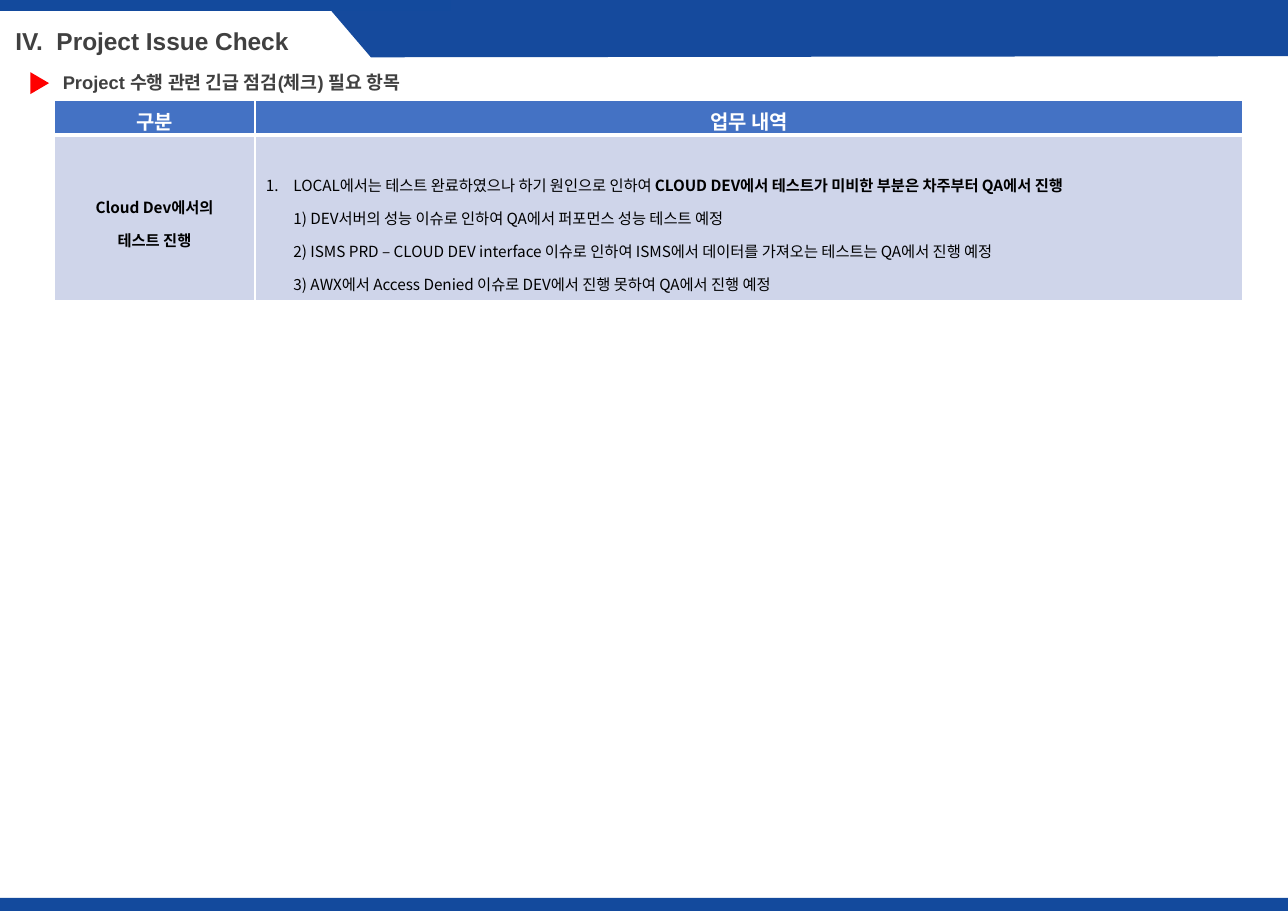
import pptx
import pptx.util
import pptx.dml.color
import pptx.enum.shapes
import pptx.enum.text
import pptx.oxml
import pptx.oxml.ns

Inches = pptx.util.Inches
Shape = pptx.enum.shapes.MSO_SHAPE
Anchor = pptx.enum.text.MSO_ANCHOR
Align = pptx.enum.text.PP_ALIGN
WIDE, HIGH = 11.69, 8.27
BLUE, GRAY, WHITE, BLACK = "134A9D", "404040", "FFFFFF", "000000"
NOTO = "Noto Sans CJK KR"


def paint(fill, color):
    fill.solid()
    fill.fore_color.rgb = pptx.dml.color.RGBColor.from_string(color)


def node(parent, tag, **attrs):
    item = parent.makeelement(pptx.oxml.ns.qn(tag), attrs)
    parent.append(item)
    return item


def write(para, text, size, color, bold=True, face=NOTO):
    run = para.add_run()
    run.text = text
    font = run.font
    font.size, font.bold, font.name = pptx.util.Pt(size), bold, face
    paint(font.fill, color)
    node(run._r.get_or_add_rPr(), "a:ea", typeface=NOTO)


def finish(shape, color):
    paint(shape.fill, color)
    shape.line.fill.background()
    shape.shadow.inherit = False


def block(slide, kind, box, color, turn=0):
    shape = slide.shapes.add_shape(kind, *map(Inches, box))
    shape.rotation = turn
    finish(shape, color)


def label(shape, box, text, size):
    shape.left, shape.top, shape.width, shape.height = map(Inches, box)
    frame = shape.text_frame
    frame.word_wrap = True
    frame.auto_size = pptx.enum.text.MSO_AUTO_SIZE.NONE
    frame.vertical_anchor = Anchor.MIDDLE
    frame.margin_left = frame.margin_right = Inches(0.11)
    frame.margin_top = frame.margin_bottom = Inches(0.06)
    para = frame.paragraphs[0]
    para.alignment = Align.LEFT
    write(para, text, size, GRAY, face="Arial")


def banner(slide, box):
    left, top, width, height = box
    right, base = left + width, top + height
    edge = [(left + width * 0.25, top), (right, top), (right, base - 0.01),
            (left + width * 0.288, base)]
    spots = [(Inches(x), Inches(y)) for x, y in edge]
    form = slide.shapes.build_freeform(*spots[0])
    form.add_line_segments(spots[1:], close=True)
    finish(form.convert_to_shape(), "154A9D")
    block(slide, Shape.RECTANGLE, (left, top, width * 0.35, 0.1), BLUE)
    label(slide.shapes.title, (left + 0.03, top + 0.18, 3.15, 0.38),
          "IV.  Project Issue Check", 16)


def heading(slide, box):
    left, top, width, height = box
    block(slide, Shape.ISOSCELES_TRIANGLE, (left, top + 0.08, 0.2, 0.17), "FF0000", 90)
    text = slide.shapes.add_textbox(0, 0, 0, 0)
    label(text, (left + 0.2, top, width - 0.2, height),
          "Project 수행 관련 긴급 점검(체크) 필요 항목", 12)


def style(cell, color, base=1):
    props = cell._tc.get_or_add_tcPr()
    for side, width in zip("LRTB", (1, 1, 1, base)):
        line = node(props, "a:ln" + side, w=str(pptx.util.Pt(width)))
        node(node(line, "a:solidFill"), "a:srgbClr", val=WHITE)
    paint(cell.fill, color)
    cell.vertical_anchor = Anchor.MIDDLE


def fill_cell(cell, lines, align):
    for place, runs in enumerate(lines):
        frame = cell.text_frame
        para = frame.add_paragraph() if place else frame.paragraphs[0]
        para.alignment, para.line_spacing = align, 1.5
        for text, bold in runs:
            write(para, text, 10, BLACK, bold)


def issues(slide, box):
    left, top, width, height = box
    grid = slide.shapes.add_table(2, 2, *map(Inches, box)).table
    for col, share in zip(grid.columns, (0.169, 0.831)):
        col.width = Inches(width * share)
    for row, share in zip(grid.rows, (0.175, 0.825)):
        row.height = Inches(height * share)
    for col, text in enumerate(("구분", "업무 내역")):
        head = grid.cell(0, col)
        style(head, "4472C4", 3)
        head.margin_bottom = 0
        para = head.text_frame.paragraphs[0]
        para.alignment = Align.CENTER
        write(para, text, 13, WHITE)
        style(grid.cell(1, col), "CFD5EA")
    topic, tasks = grid.cell(1, 0), grid.cell(1, 1)
    fill_cell(topic, [[("Cloud Dev에서의", True)], [("테스트 진행", True)]], Align.CENTER)
    fill_cell(tasks, [
        [("LOCAL에서는 테스트 완료하였으나 하기 원인으로 인하여 ", False),
         ("CLOUD DEV에서 테스트가 미비한 부분은 차주부터 QA에서 진행", True)],
        [("1) DEV서버의 성능 이슈로 인하여 QA에서 퍼포먼스 성능 테스트 예정", False)],
        [("2) ISMS PRD – CLOUD DEV interface 이슈로 인하여 ISMS에서 데이터를 가져오는 테스트는 QA에서 진행 예정", False)],
        [("3) AWX에서 Access Denied 이슈로 DEV에서 진행 못하여 QA에서 진행 예정", False)],
    ], Align.LEFT)
    tasks.vertical_anchor = Anchor.BOTTOM
    indent = Inches(0.25)
    for place, para in enumerate(tasks.text_frame.paragraphs):
        props = para._p.get_or_add_pPr()
        props.set("marL", str(indent))
        props.set("indent", str(0 if place else -indent))
        if not place:
            node(props, "a:buFont", typeface="+mj-lt")
            node(props, "a:buAutoNum", type="arabicPeriod")


def main():
    deck = pptx.Presentation()
    deck.slide_width, deck.slide_height = Inches(WIDE), Inches(HIGH)
    slide = deck.slides.add_slide(deck.slide_layouts[5])
    block(slide, Shape.RECTANGLE, (0, HIGH - 0.12, WIDE, 0.12), BLUE)
    banner(slide, (0, 0, WIDE, 0.52))
    heading(slide, (0.26, 0.59, 10.09, 0.31))
    issues(slide, (0.49, 0.91, 10.79, 1.82))
    deck.save("out.pptx")


if __name__ == "__main__":
    main()
